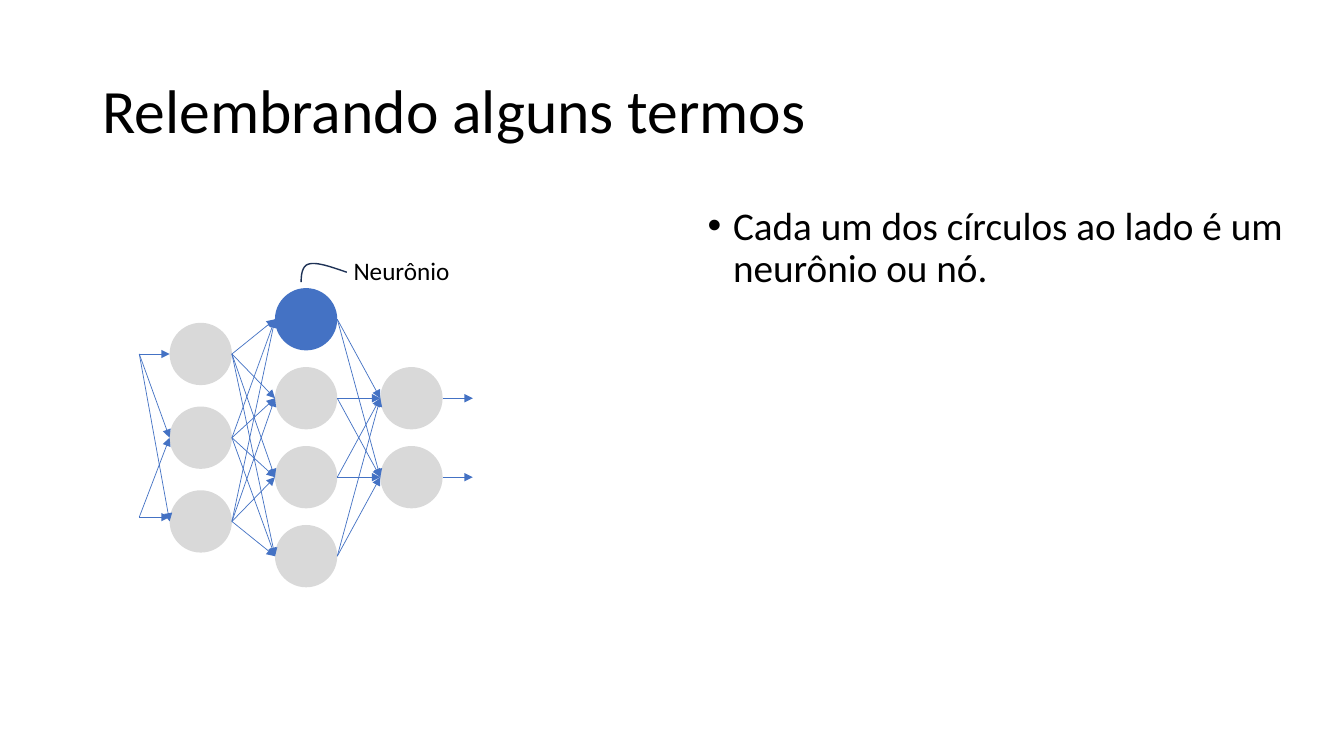
from dataclasses import dataclass

from lxml.etree import SubElement
from pptx import Presentation
from pptx.dml.color import RGBColor
from pptx.enum.shapes import MSO_CONNECTOR as Connector, MSO_SHAPE as Shape
from pptx.enum.text import MSO_ANCHOR as Anchor, MSO_AUTO_SIZE as AutoSize, PP_ALIGN as Align
from pptx.oxml.ns import qn
from pptx.util import Cm, Pt


@dataclass(frozen=True)
class Theme:
    font: str = "Calibri"
    ink: str = "000000"
    accent: str = "4472C4"
    neuron: str = "D9D9D9"
    pointer: str = "1E3256"
    title_size: float = 44
    body_size: float = 28
    label_size: float = 18
    arrow_width: float = 0.5
    pointer_width: float = 1


def color(code):
    return RGBColor.from_string(code)


def write(frame, text, *, font, size, ink, spacing=1.0, anchor=Anchor.TOP, bullet=None, indent=0.64):
    frame.word_wrap = True
    frame.auto_size = AutoSize.NONE
    frame.vertical_anchor = anchor
    para = frame.paragraphs[0]
    para.alignment = Align.LEFT
    para.line_spacing = spacing
    para.space_before = Pt(0)
    if bullet:
        properties = para._p.get_or_add_pPr()
        properties.set("marL", str(Cm(indent)))
        properties.set("indent", str(-Cm(indent)))
        SubElement(properties, qn("a:buFont")).set("typeface", "Arial")
        SubElement(properties, qn("a:buChar")).set("char", bullet)
    span = para.add_run()
    span.text = text
    span.font.name = font
    span.font.size = Pt(size)
    span.font.color.rgb = color(ink)


def bezier(start, first, second, end, steps=12):
    for step in range(1, steps + 1):
        t = step / steps
        weights = ((1 - t) ** 3, 3 * t * (1 - t) ** 2, 3 * t ** 2 * (1 - t), t ** 3)
        yield tuple(
            sum(weight * point[axis] for weight, point in zip(weights, (start, first, second, end)))
            for axis in (0, 1)
        )


class SlideBuilder:
    def __init__(self, slide, theme):
        self.slide = slide
        self.theme = theme
        self.shapes = slide.shapes

    def start_group(self):
        self.shapes = self.slide.shapes.add_group_shape().shapes

    def placeholder(self, index, left, top, width, height, text, **style):
        box = self.slide.placeholders[index]
        box.left, box.top, box.width, box.height = map(Cm, (left, top, width, height))
        write(box.text_frame, text, font=self.theme.font, ink=self.theme.ink, spacing=0.9, **style)

    def label(self, left, top, width, height, text):
        box = self.shapes.add_textbox(*map(Cm, (left, top, width, height)))
        write(box.text_frame, text, font=self.theme.font, size=self.theme.label_size, ink=self.theme.ink)

    def circle(self, center, diameter, fill):
        left, top = (value - diameter / 2 for value in center)
        circle = self.shapes.add_shape(Shape.OVAL, *map(Cm, (left, top, diameter, diameter)))
        circle.shadow.inherit = False
        circle.fill.solid()
        circle.fill.fore_color.rgb = color(fill)
        circle.line.fill.background()

    def arrow(self, start, end):
        arrow = self.shapes.add_connector(Connector.STRAIGHT, *map(Cm, (*start, *end)))
        arrow.line.color.rgb = color(self.theme.accent)
        arrow.line.width = Pt(self.theme.arrow_width)
        SubElement(arrow.line._get_or_add_ln(), qn("a:tailEnd")).set("type", "triangle")
        SubElement(arrow._element.spPr, qn("a:effectLst"))

    def curve(self, start, *segments):
        outline = self.shapes.build_freeform(*map(Cm, start))
        for segment in segments:
            points = list(bezier(start, *segment))
            outline.add_line_segments([tuple(map(Cm, point)) for point in points], close=False)
            start = segment[-1]
        curve = outline.convert_to_shape()
        curve.shadow.inherit = False
        curve.fill.background()
        curve.line.color.rgb = color(self.theme.pointer)
        curve.line.width = Pt(self.theme.pointer_width)


def draw_network(builder):
    theme = builder.theme
    diameter, middle = 1.57, 11.03
    radius = diameter / 2
    first_x, layer_gap = 5.06, 2.655
    layers = [
        [(first_x + layer * layer_gap, middle + (row - (count - 1) / 2) * gap) for row in range(count)]
        for layer, (count, gap) in enumerate([(3, 2.11), (4, 1.99), (2, 1.99)])
    ]
    inputs, hidden, outputs = layers
    highlighted = hidden[0]

    builder.start_group()
    for layer in layers:
        for center in layer:
            builder.circle(center, diameter, theme.accent if center == highlighted else theme.neuron)

    for sources, targets in zip(layers, layers[1:]):
        for source_x, source_y in sources:
            for target_x, target_y in targets:
                builder.arrow((source_x + radius, source_y), (target_x - radius, target_y))

    entry_x, entry_end, last_entry_y = 3.51, first_x - radius, 13.03
    entry_heights = [y for _, y in inputs]
    entries = [(entry_heights[0], entry_heights), (last_entry_y, [last_entry_y, middle])]
    for start_y, end_heights in entries:
        for end_y in end_heights:
            builder.arrow((entry_x, start_y), (entry_end, end_y))

    exit_length = 0.76
    for x, y in outputs:
        builder.arrow((x + radius, y), (x + radius + exit_length, y))

    builder.label(8.66, 6.32, 3.43, 1.02, "Neurônio")
    builder.curve(
        (7.59, 7.11),
        ((7.59, 6.91), (7.62, 6.68), (7.8, 6.65)),
        ((8.0, 6.6), (8.36, 6.73), (8.74, 6.86)),
    )


def main():
    deck = Presentation()
    deck.slide_width, deck.slide_height = Cm(33.87), Cm(19.05)
    theme = Theme()
    builder = SlideBuilder(deck.slides.add_slide(deck.slide_layouts[1]), theme)
    builder.placeholder(
        0, 2.33, 1.01, 29.21, 3.68, "Relembrando alguns termos",
        size=theme.title_size, anchor=Anchor.MIDDLE,
    )
    builder.placeholder(
        1, 17.58, 5.08, 15.85, 13.97, "Cada um dos círculos ao lado é um neurônio ou nó.",
        size=theme.body_size, bullet="•",
    )
    draw_network(builder)
    deck.save("out.pptx")


if __name__ == "__main__":
    main()
